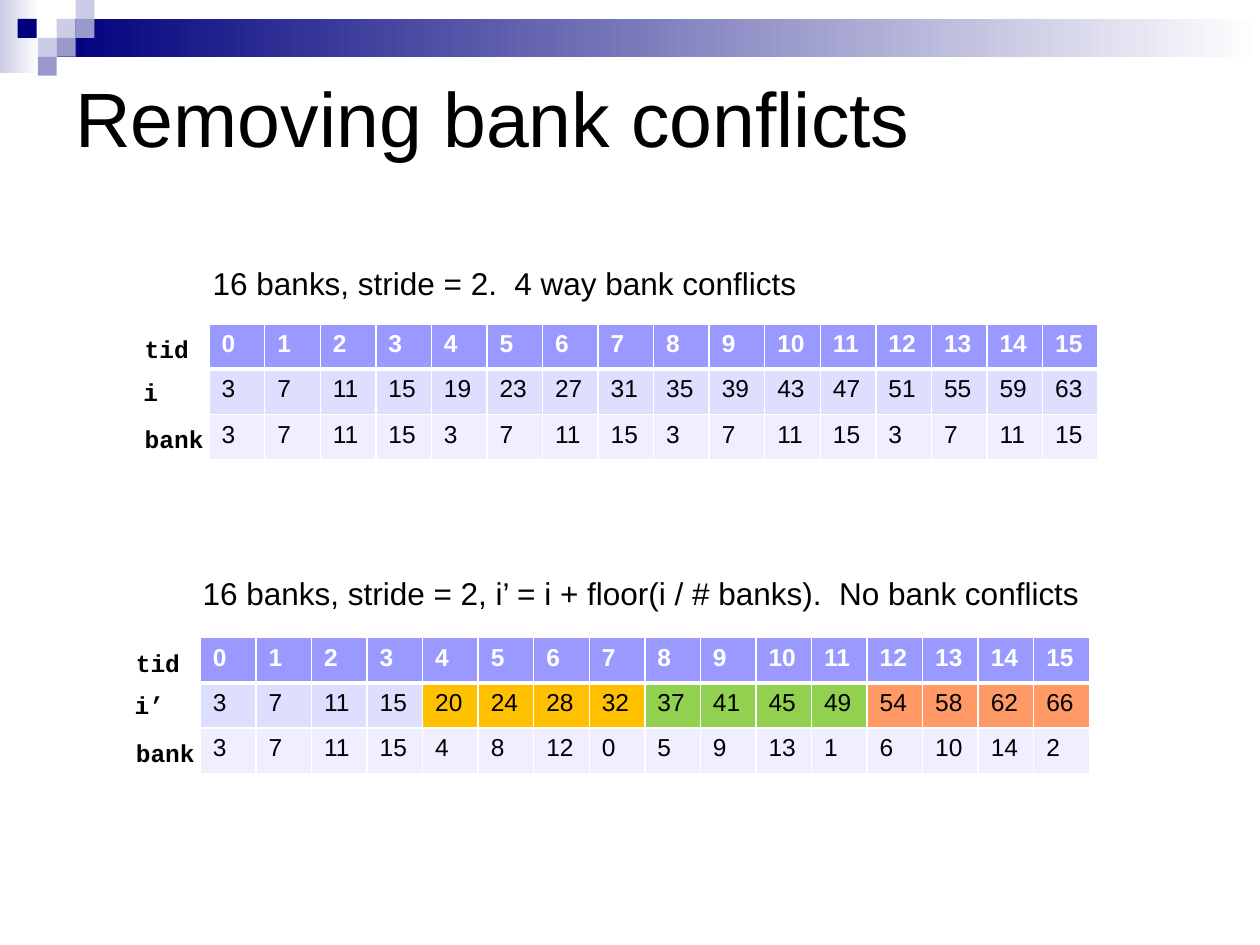
from dataclasses import dataclass
from typing import NamedTuple

from lxml.etree import SubElement
from pptx import Presentation
from pptx.dml.color import RGBColor as RGB
from pptx.enum.shapes import MSO_SHAPE as Shape
from pptx.enum.text import MSO_ANCHOR as Anchor, MSO_AUTO_SIZE as AutoSize
from pptx.oxml.ns import qn
from pptx.util import Inches, Pt


@dataclass(frozen=True)
class Theme:
    sans: str = "Arial"
    mono: str = "Courier New"
    title_size: int = 44
    caption_size: int = 18
    cell_size: int = 14
    black: str = "000000"
    white: str = "FFFFFF"
    navy: str = "00007D"
    pale: str = "CCCCE6"
    mid: str = "9999CC"
    header: str = "9999FF"
    index_row: str = "DEDEFF"
    bank_row: str = "EFEFFF"
    shifts: tuple[str, ...] = ("DEDEFF", "FFC000", "92D050", "FF9966")


class Box(NamedTuple):
    left: float
    top: float
    width: float
    height: float

    def lengths(self) -> list[int]:
        return [Inches(v) for v in self]


@dataclass(frozen=True)
class BankTable:
    left: float
    top: float
    caption: str
    caption_box: Box
    index_label: str
    indices: list[int]
    index_fills: list[str]


THEME = Theme()
BANKS = 16
COL_WIDTH, ROW_HEIGHT = 7.06 / BANKS, 0.36
LABEL_OFFSETS = ((-0.61, 0.03), (-0.62, 0.37), (-0.61, 0.75))

GRADIENT_BARS = (
    (Box(0, 0, 0.31, 0.58), THEME.pale),
    (Box(0.45, 0.15, 9.55, 0.3), THEME.navy),
)
SQUARE = 0.15
SQUARES = (
    (0.45, 0.15, THEME.pale),
    (0.6, 0, THEME.pale),
    (0.6, 0.15, THEME.mid),
    (0.3, 0.3, THEME.pale),
    (0.14, 0.15, THEME.navy),
    (0.45, 0.3, THEME.mid),
    (0.3, 0.45, THEME.mid),
)

STRIDED = [4 * tid + 3 for tid in range(BANKS)]
PADDED = [i + i // BANKS for i in STRIDED]
TABLES = (
    BankTable(1.66, 2.57, "16 banks, stride = 2.  4 way bank conflicts",
              Box(1.59, 2.05, 5.43, 0.4), "i", STRIDED,
              [THEME.index_row] * BANKS),
    BankTable(1.59, 5.06,
              "16 banks, stride = 2, i’ = i + floor(i / # banks).  No bank conflicts",
              Box(1.51, 4.51, 7.66, 0.4), "i’", PADDED,
              [THEME.shifts[i // BANKS] for i in STRIDED]),
)


def style_text(tf, size: int, color: str = THEME.black,
               font: str = THEME.sans, bold: bool = False) -> None:
    for r in tf.paragraphs[0].runs:
        r.font.name, r.font.size, r.font.bold = font, Pt(size), bold
        r.font.color.rgb = RGB.from_string(color)


def add_rect(s, box: Box, color: str, fade: bool = False) -> None:
    """Draw a borderless rectangle, optionally fading to white at its right."""
    sp = s.shapes.add_shape(Shape.RECTANGLE, *box.lengths())
    sp.shadow.inherit = False
    sp.line.fill.background()
    if fade:
        sp.fill.gradient()
        sp.fill.gradient_angle = 0
        for stop, stop_color in zip(sp.fill.gradient_stops, (color, THEME.white)):
            stop.color.rgb = RGB.from_string(stop_color)
    else:
        sp.fill.solid()
        sp.fill.fore_color.rgb = RGB.from_string(color)


def add_text(s, box: Box, text: str, size: int, font: str = THEME.sans,
             bold: bool = False):
    tf = s.shapes.add_textbox(*box.lengths()).text_frame
    tf.word_wrap = True
    tf.text = text
    style_text(tf, size, font=font, bold=bold)
    return tf


def set_borders(cell, **widths: float) -> None:
    """Give the L, R, T and B sides white lines of the given widths in points."""
    props = cell._tc.get_or_add_tcPr()
    for side, width in widths.items():
        line = SubElement(props, qn(f"a:ln{side}"), w=str(Pt(width)))
        fill = SubElement(line, qn("a:solidFill"))
        SubElement(fill, qn("a:srgbClr"), val=THEME.white)


def add_bank_table(s, spec: BankTable) -> None:
    rows = (
        ("tid", range(BANKS), [THEME.header] * BANKS),
        (spec.index_label, spec.indices, spec.index_fills),
        ("bank", [i % BANKS for i in spec.indices], [THEME.bank_row] * BANKS),
    )
    box = Box(spec.left, spec.top, COL_WIDTH * BANKS, ROW_HEIGHT * len(rows))
    table = s.shapes.add_table(len(rows), BANKS, *box.lengths()).table
    for column in table.columns:
        column.width = Inches(COL_WIDTH)

    for row, (label, values, fills) in enumerate(rows):
        is_header = row == 0
        for col, (value, fill) in enumerate(zip(values, fills)):
            cell = table.cell(row, col)
            cell.text = str(value)
            style_text(cell.text_frame, THEME.cell_size,
                       THEME.white if is_header else THEME.black, bold=is_header)
            set_borders(cell, L=1, R=1, T=3 if row == 1 else 1,
                        B=3 if is_header else 1)
            cell.fill.solid()
            cell.fill.fore_color.rgb = RGB.from_string(fill)
        dx, dy = LABEL_OFFSETS[row]
        tf = add_text(s, Box(spec.left + dx, spec.top + dy, 0.7, 0.34), label,
                      THEME.cell_size, THEME.mono, bold=True)
        tf.auto_size = AutoSize.SHAPE_TO_FIT_TEXT

    tf = add_text(s, spec.caption_box, spec.caption, THEME.caption_size)
    tf.auto_size = AutoSize.SHAPE_TO_FIT_TEXT


def main() -> None:
    prs = Presentation()
    prs.slide_width, prs.slide_height = Inches(10), Inches(7.5)
    s = prs.slides.add_slide(prs.slide_layouts[6])

    for box, color in GRADIENT_BARS:
        add_rect(s, box, color, fade=True)
    for left, top, color in SQUARES:
        add_rect(s, Box(left, top, SQUARE, SQUARE), color)

    title = add_text(s, Box(0.5, 0.5, 9, 0.86), "Removing bank conflicts",
                     THEME.title_size)
    title.vertical_anchor = Anchor.MIDDLE
    for spec in TABLES:
        add_bank_table(s, spec)
    prs.save("out.pptx")


if __name__ == "__main__":
    main()
